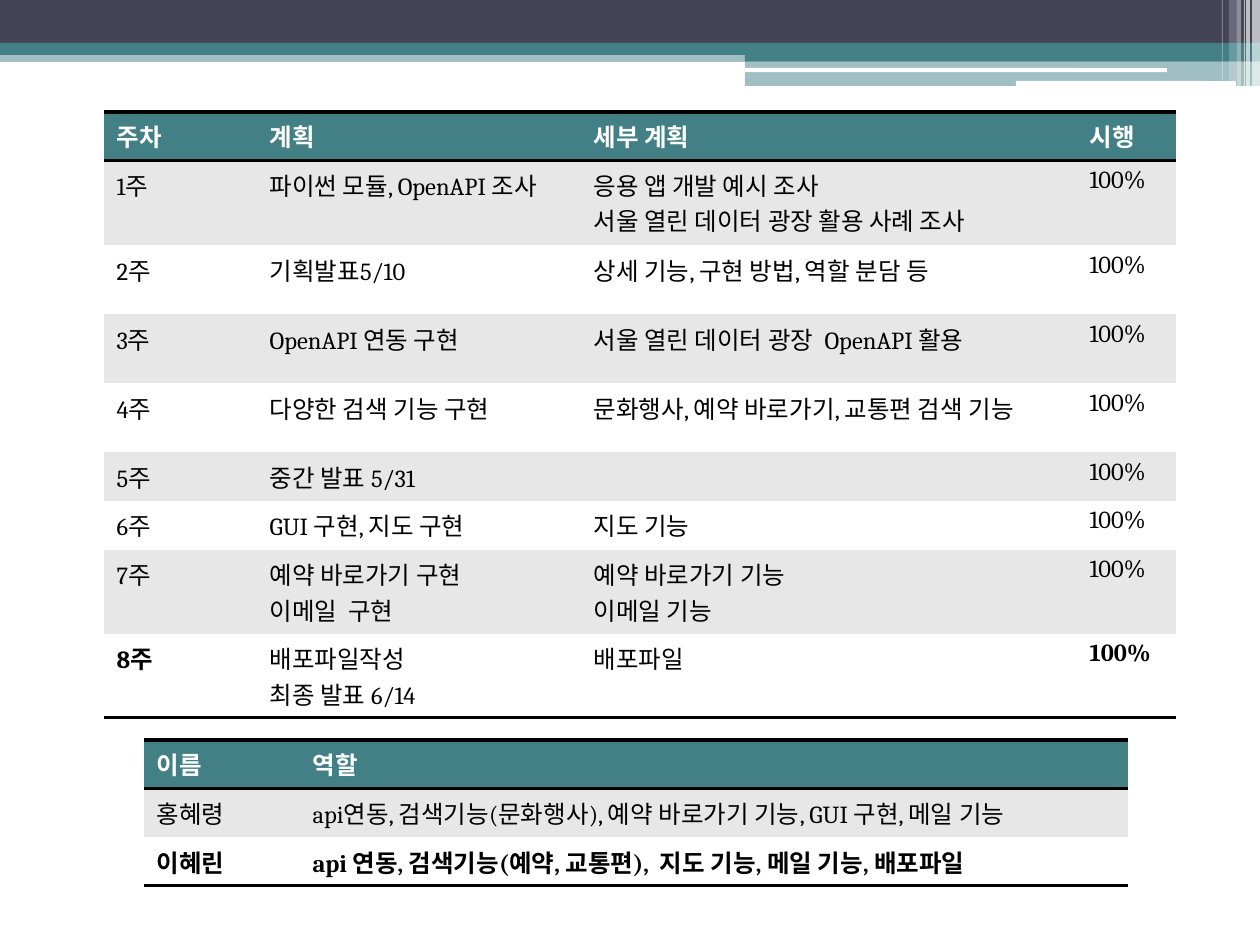
from lxml import etree
from pptx import Presentation, util as u
from pptx.dml.color import RGBColor
from pptx.enum import shapes, text
from pptx.oxml.ns import qn

SCALE = 914400 / 126
NAVY = RGBColor(0x42, 0x44, 0x56)
TEAL = RGBColor(0x43, 0x80, 0x86)
WHITE = RGBColor(0xFF, 0xFF, 0xFF)
GREY = RGBColor(0xE7, 0xE7, 0xE7)
BLACK = RGBColor(0, 0, 0)
PLAIN_TABLE = "{2D5ABB26-0587-4C30-8999-92F81FD0307C}"

PLAN = [
    ["주차", "계획", "세부 계획", "시행"],
    ["1주", "파이썬 모듈, OpenAPI 조사",
     "응용 앱 개발 예시 조사\n서울 열린 데이터 광장 활용 사례 조사", "100%"],
    ["2주", "기획발표5/10", "상세 기능, 구현 방법, 역할 분담 등", "100%"],
    ["3주", "OpenAPI 연동 구현", "서울 열린 데이터 광장  OpenAPI 활용", "100%"],
    ["4주", "다양한 검색 기능 구현", "문화행사, 예약 바로가기, 교통편 검색 기능", "100%"],
    ["5주", "중간 발표 5/31", "", "100%"],
    ["6주", "GUI 구현, 지도 구현", "지도 기능", "100%"],
    ["7주", "예약 바로가기 구현\n이메일  구현", "예약 바로가기 기능\n이메일 기능", "100%"],
    ["8주", "배포파일작성\n최종 발표 6/14", "배포파일", "100%"],
]
ROLES = [
    ["이름", "역할"],
    ["홍혜령", "api연동, 검색기능(문화행사), 예약 바로가기 기능, GUI 구현, 메일 기능"],
    ["이혜린", "api 연동, 검색기능(예약, 교통편),  지도 기능, 메일 기능, 배포파일"],
]


def px(length):
    return u.Emu(round(length * SCALE))


def add_bar(slide, box, color, opacity=100, kind=shapes.MSO_SHAPE.RECTANGLE):
    bar = slide.shapes.add_shape(kind, *map(px, box))
    bar.shadow.inherit = False
    bar.line.fill.background()
    bar.fill.solid()
    bar.fill.fore_color.rgb = color
    if opacity < 100:
        tint = bar.fill._xPr.find(".//" + qn("a:srgbClr"))
        etree.SubElement(tint, qn("a:alpha"), val=str(opacity * 1000))


def add_banner(slide, left, top, width):
    # Full-width bands
    add_bar(slide, (left, top + 50, width, 12), TEAL, 50)
    add_bar(slide, (left, top, width, 43), NAVY)
    add_bar(slide, (left, top + 43, width, 12), TEAL)
    # Step at the right, with two white slits
    step = left + 745
    add_bar(slide, (step, top + 49, width - 745, 12), TEAL)
    add_bar(slide, (step, top + 61, width - 745, 25), TEAL, 50)
    for x, y, w, h in [(0, 68, 422, 4), (271, 81, 220, 5)]:
        add_bar(slide, (step + x, top + y, w, h), WHITE,
                kind=shapes.MSO_SHAPE.ROUNDED_RECTANGLE)
    # Upright stripes, measured from the right edge
    for inset, w, h, opacity in [(8, 8, 86, 65), (14, 4, 86, 65), (16, 1, 86, 60),
                                 (23, 4, 86, 40), (31, 8, 81, 20), (38, 1, 81, 30)]:
        add_bar(slide, (left + width - inset, top, w, h), WHITE, opacity)


def add_rule(cell, side):
    rule = etree.SubElement(cell._tc.get_or_add_tcPr(), qn("a:" + side),
                            w=str(u.Pt(2)))
    fill = etree.SubElement(rule, qn("a:solidFill"))
    etree.SubElement(fill, qn("a:srgbClr"), val=str(BLACK))


def fill_cell(cell, words, color, background, bold):
    cell.fill.solid()
    cell.fill.fore_color.rgb = background
    cell.text = words
    for line in cell.text_frame.paragraphs:
        line.alignment = text.PP_ALIGN.JUSTIFY
        line.font.name = "Cambria"
        line.font.size = u.Pt(14)
        line.font.bold = bold
        line.font.color.rgb = color


def add_schedule(slide, left, top, widths, heights, rows, bold_columns):
    """Ruled, banded table; bold_columns are the bold cells of the last row."""
    frame = slide.shapes.add_table(len(rows), len(widths), px(left), px(top),
                                   px(sum(widths)), px(sum(heights)))
    table = frame.table
    table._tbl.tblPr.find(qn("a:tableStyleId")).text = PLAIN_TABLE
    for column, width in zip(table.columns, widths):
        column.width = px(width)
    for row, height in zip(table.rows, heights):
        row.height = px(height)
    last = len(rows) - 1
    for r, row in enumerate(rows):
        for c, words in enumerate(row):
            cell = table.cell(r, c)
            if r == 0:
                add_rule(cell, "lnT")
            if r in (0, last):
                add_rule(cell, "lnB")
            background = TEAL if r == 0 else GREY if r % 2 else WHITE
            fill_cell(cell, words, BLACK if r else WHITE, background,
                      r == 0 or (r == last and c in bold_columns))


def main():
    deck = Presentation()
    deck.slide_width, deck.slide_height = u.Inches(10), u.Inches(7.5)
    slide = deck.slides.add_slide(deck.slide_layouts[6])
    add_banner(slide, 0, 0, 1260)
    # Weekly plan
    add_schedule(slide, 104, 112, [153, 324, 496, 99],
                 [48, 85, 69, 69, 69, 48, 49, 84, 84], PLAN, (0, 3))
    # Team roles
    add_schedule(slide, 144, 740, [156, 828], [48, 49, 48], ROLES, (0, 1))
    deck.save("out.pptx")


if __name__ == "__main__":
    main()
